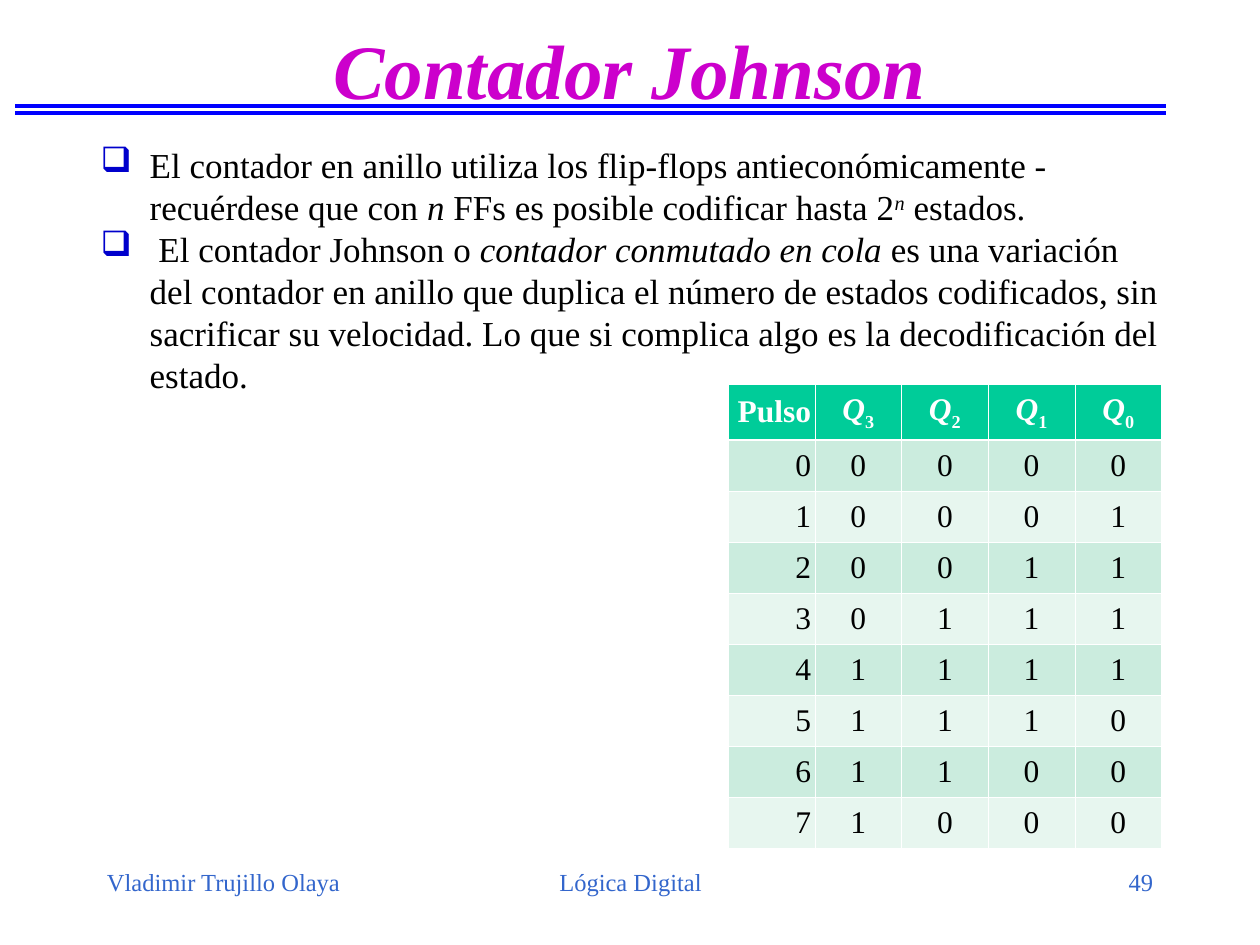
from lxml import etree
from pptx import Presentation
from pptx.dml.color import RGBColor
from pptx.enum.shapes import MSO_CONNECTOR
from pptx.enum.text import MSO_ANCHOR, MSO_AUTO_SIZE, PP_ALIGN
from pptx.oxml.ns import qn
from pptx.util import Inches, Pt

COLORS = {
    "title": "CC00CC", "rule": "0000FF", "footer": "3366CC",
    "bullet": "0000CC", "text": "000000", "header": "00CC99",
    "dark_band": "CBECDE", "light_band": "E7F6EF", "border": "FFFFFF",
}
FONT = "Times New Roman"


def add_runs(paragraph, runs, color, **formats):
    """Add (text, style) runs; style is "i" for italic, a number for a baseline shift, or both."""
    for text, italic, baseline in runs:
        run = paragraph.add_run()
        run.text = text
        for name, value in {"name": FONT, "italic": italic, **formats}.items():
            setattr(run.font, name, value)
        run.font.color.rgb = RGBColor.from_string(COLORS[color])
        if baseline:
            run.font._element.set("baseline", str(baseline * 1000))


def add_border(cell, side, width):
    line = etree.SubElement(cell._tc.get_or_add_tcPr(), qn(f"a:ln{side}"), w=str(Pt(width)))
    fill = etree.SubElement(line, qn("a:solidFill"))
    etree.SubElement(fill, qn("a:srgbClr"), val=COLORS["border"])


prs = Presentation()
prs.slide_width, prs.slide_height = Inches(10), Inches(7.5)
slide = prs.slides.add_slide(prs.slide_layouts[5])
shapes = slide.shapes

# Footer
footers = [
    (0.75, 2.08, "Vladimir Trujillo Olaya", PP_ALIGN.LEFT),
    (3.42, 3.17, "Lógica Digital", PP_ALIGN.CENTER),
    (7.17, 2.08, "49", PP_ALIGN.RIGHT),
]
for left, width, text, alignment in footers:
    footer = shapes.add_textbox(Inches(left), Inches(6.83), Inches(width), Inches(0.5)).text_frame
    footer.word_wrap = True
    footer.paragraphs[0].alignment = alignment
    add_runs(footer.paragraphs[0], [(text, False, 0)], "footer", size=Pt(14))

# Double rule with the title over it
for y in (0.84, 0.9):
    rule = shapes.add_connector(
        MSO_CONNECTOR.STRAIGHT, Inches(0.12), Inches(y), Inches(9.25), Inches(y))
    rule.line.color.rgb = RGBColor.from_string(COLORS["rule"])
    rule.line.width = Pt(2.25)
    etree.SubElement(rule._element.spPr, qn("a:effectLst"))

title = shapes.title
title.left, title.top, title.width, title.height = map(Inches, (0.75, -0.08, 8.5, 1.25))
title.text_frame.auto_size = MSO_AUTO_SIZE.NONE
title.text_frame.vertical_anchor = MSO_ANCHOR.MIDDLE
heading = title.text_frame.paragraphs[0]
heading.alignment = PP_ALIGN.CENTER
add_runs(heading, [("Contador Johnson", True, 0)], "title", size=Pt(44), bold=True)
shapes._spTree.append(title._element)

# Explanation
points = [
    [("El contador en anillo utiliza los flip-flops antieconómicamente - "
      "recuérdese que con ", False, 0),
     ("n", True, 0),
     (" FFs es posible codificar hasta 2", False, 0),
     ("n", True, 30),
     (" estados.", False, 0)],
    [(" El contador Johnson o ", False, 0),
     ("contador conmutado en cola", True, 0),
     (" es una variación del contador en anillo que duplica el número de estados "
      "codificados, sin sacrificar su velocidad. Lo que si complica algo es la "
      "decodificación del estado.", False, 0)],
]
body = shapes.add_textbox(Inches(0.7), Inches(1.09), Inches(8.67), Inches(2.1)).text_frame
body.word_wrap = True
for number, runs in enumerate(points):
    point = body.add_paragraph() if number else body.paragraphs[0]
    point.line_spacing = Pt(24)
    properties = point._p.get_or_add_pPr()
    properties.set("marL", str(Inches(0.39)))
    properties.set("indent", str(Inches(-0.39)))
    bullet_color = etree.SubElement(properties, qn("a:buClr"))
    etree.SubElement(bullet_color, qn("a:srgbClr"), val=COLORS["bullet"])
    etree.SubElement(properties, qn("a:buChar"), char="❑")
    add_runs(point, runs, "text", size=Pt(20))

# State table: output Qi is 1 for the four pulses that follow pulse i
OUTPUTS = (3, 2, 1, 0)
PULSES = 8
rows = [[[("Pulso", False, 0)]]
        + [[("Q", True, 0), (str(i), False, -25)] for i in OUTPUTS]]
for pulse in range(PULSES):
    states = [int(i < pulse <= i + 4) for i in OUTPUTS]
    rows.append([[(str(value), False, 0)] for value in (pulse, *states)])

table = shapes.add_table(
    len(rows), len(rows[0]), Inches(5.78), Inches(3.05), Inches(3.44), Inches(3.65)).table
for column in table.columns:
    column.width = Inches(3.44 / len(rows[0]))
for r, row in enumerate(rows):
    table.rows[r].height = Inches(3.65 / len(rows))
    band = "header" if r == 0 else "dark_band" if r % 2 else "light_band"
    for c, runs in enumerate(row):
        cell = table.cell(r, c)
        cell.margin_left = cell.margin_right = Inches(0.03)
        cell.vertical_anchor = MSO_ANCHOR.MIDDLE
        for side in "LRTB":
            under_header = (r, side) in ((0, "B"), (1, "T"))
            add_border(cell, side, 1.47 if under_header else 0.45)
        cell.fill.solid()
        cell.fill.fore_color.rgb = RGBColor.from_string(COLORS[band])
        paragraph = cell.text_frame.paragraphs[0]
        paragraph.alignment = PP_ALIGN.CENTER if c else PP_ALIGN.RIGHT
        add_runs(paragraph, runs, "text" if r else "border", size=Pt(18), bold=r == 0)

prs.save("out.pptx")
